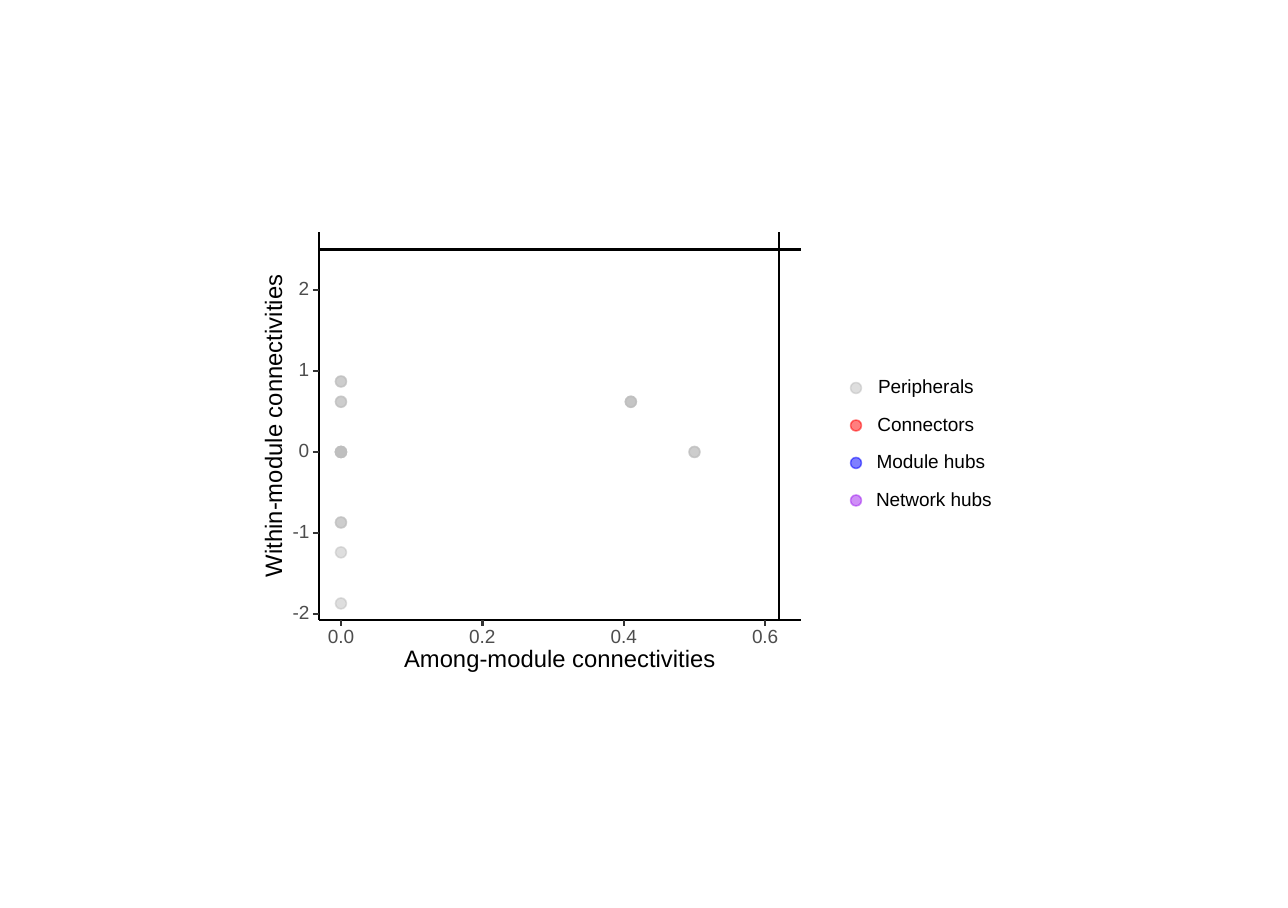
from lxml import etree
from pptx import Presentation
from pptx.dml.color import RGBColor
from pptx.enum import shapes, text
from pptx.oxml.ns import qn
from pptx import util as u

SCALE = 914400 / 155.7
HUES = {"paper": "FFFFFF", "ink": "000000", "tick": "333333", "label": "4D4D4D",
        "grey": "BEBEBE", "red": "FF0000", "blue": "0000FF", "plum": "A020F0"}
FRAME = {"margin_left": 0, "margin_right": 0, "margin_top": 0, "margin_bottom": 0,
         "word_wrap": False, "vertical_anchor": text.MSO_ANCHOR.MIDDLE}
DOT = 11
NODES = [(0.5, 0, 2), (0.41, 0.62, 3), (0, 0, 5), (0, 0.62, 2), (0, 0.87, 2),
         (0, -0.87, 2), (0, -1.24, 1), (0, -1.87, 1)]
ROLES = [("Peripherals", "grey", 101), ("Connectors", "red", 101),
         ("Module hubs", "blue", 106), ("Network hubs", "plum", 109)]


def px(*nums):
    """Turn pixels into EMU."""
    return [u.Emu(round(num * SCALE)) for num in nums]


def tint(hue):
    """Give the colour with this name."""
    return RGBColor.from_string(HUES[hue])


def put(item, **vals):
    """Set each named value on an item."""
    for key, val in vals.items():
        setattr(item, key, val)


def shape(slide, kind, box, hue, width=0):
    """Add a filled shape, outlined in its own colour if a width is given."""
    form = slide.shapes.add_shape(kind, *px(*box))
    form.shadow.inherit = False
    form.fill.solid()
    form.fill.fore_color.rgb = tint(hue)
    if width:
        form.line.color.rgb = tint(hue)
        form.line.width = u.Pt(width)
    else:
        form.line.fill.background()
    return form


def dot(slide, x, y, hue):
    """Add a half-clear dot centred on a point."""
    box = x - DOT / 2, y - DOT / 2, DOT, DOT
    form = shape(slide, shapes.MSO_SHAPE.OVAL, box, hue, 0.71)
    for tone in form.fill._xPr.iter(qn("a:srgbClr")):
        etree.SubElement(tone, qn("a:alpha"), val="50000")


def rule(slide, ends, hue="ink"):
    """Add a straight line between two points."""
    line = slide.shapes.add_connector(shapes.MSO_CONNECTOR.STRAIGHT, *px(*ends))
    put(line.line, width=u.Pt(1.07))
    line.line.color.rgb = tint(hue)
    etree.SubElement(line._element.spPr, qn("a:effectLst"))


def label(slide, words, x, y, wide, high=14, size=8.8, hue="label", turn=0):
    """Add one line of text centred on a point."""
    box = slide.shapes.add_textbox(*px(x - wide / 2, y - high / 2, wide, high))
    box.rotation = turn
    put(box.text_frame, **FRAME)
    para = box.text_frame.paragraphs[0]
    put(para, line_spacing=u.Pt(size), alignment=text.PP_ALIGN.CENTER)
    run = para.add_run()
    run.text = words
    put(run.font, name="Arial", size=u.Pt(size))
    run.font.color.rgb = tint(hue)


def plot(slide, left, top, wide, high):
    """Draw the scatter plot with its limits, axes, ticks and titles."""
    right, base = left + wide, top + high

    def across(val):
        """Place a value along the x axis."""
        return left + 22 + 707 * val

    def up(val):
        """Place a value along the y axis."""
        return top + 220 - 81 * val

    for x, y, count in NODES:
        for _ in range(count):
            dot(slide, across(x), up(y), "grey")
    rule(slide, (across(0.62), base, across(0.62), top))
    rule(slide, (left, up(2.5), right, up(2.5)))
    rule(slide, (left, base, left, top))
    rule(slide, (left, base, right, base))
    for val in range(-2, 3):
        rule(slide, (left - 6, up(val), left, up(val)), "tick")
        label(slide, str(val), left - (18 if val < 0 else 15), up(val), 20)
    for step in range(4):
        val = step / 5
        rule(slide, (across(val), base + 6, across(val), base), "tick")
        label(slide, f"{val:.1f}", across(val), base + 18, 30)
    title = {"size": 11, "hue": "ink"}
    label(slide, "Among-module connectivities", left + wide / 2, base + 40, 320, 22, **title)
    label(slide, "Within-module connectivities", left - 44, top + high / 2, 310, 17,
          turn=270, **title)


def legend(slide, left, top, wide, high):
    """List the node roles with their dots."""
    shape(slide, shapes.MSO_SHAPE.RECTANGLE, (left, top, wide, high), "paper")
    for row, (role, hue, middle) in enumerate(ROLES):
        y = top + 67 + 37.5 * row
        dot(slide, left + 31, y, hue)
        label(slide, role, left + middle, y, 120, hue="ink")


def main():
    """Build and save the slide."""
    deck = Presentation()
    wide, high = px(1288, 908)
    put(deck, slide_width=wide, slide_height=high)
    slide = deck.slides.add_slide(deck.slide_layouts[6])
    shape(slide, shapes.MSO_SHAPE.RECTANGLE, (255, 220, 779, 467), "paper", 1.07)
    plot(slide, 319, 232, 482, 388)
    legend(slide, 825, 321, 196, 209)
    deck.save("out.pptx")


main()
